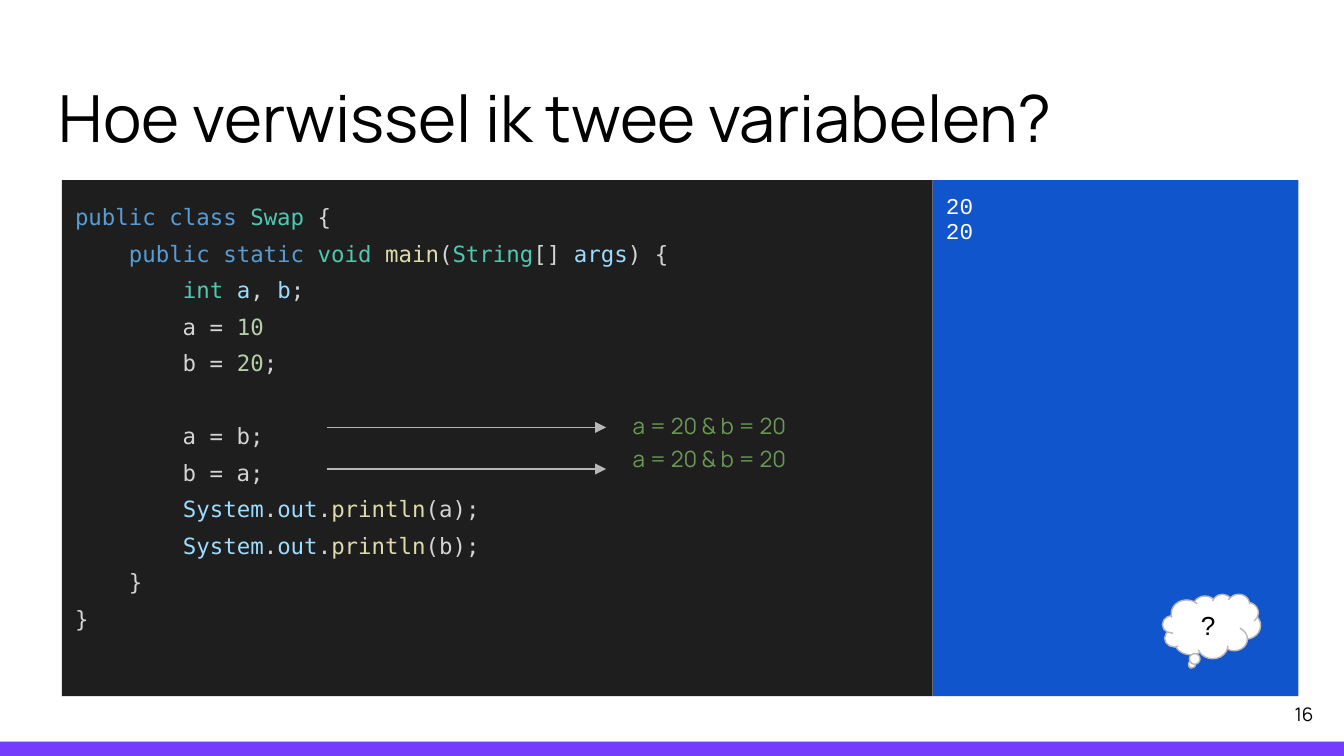
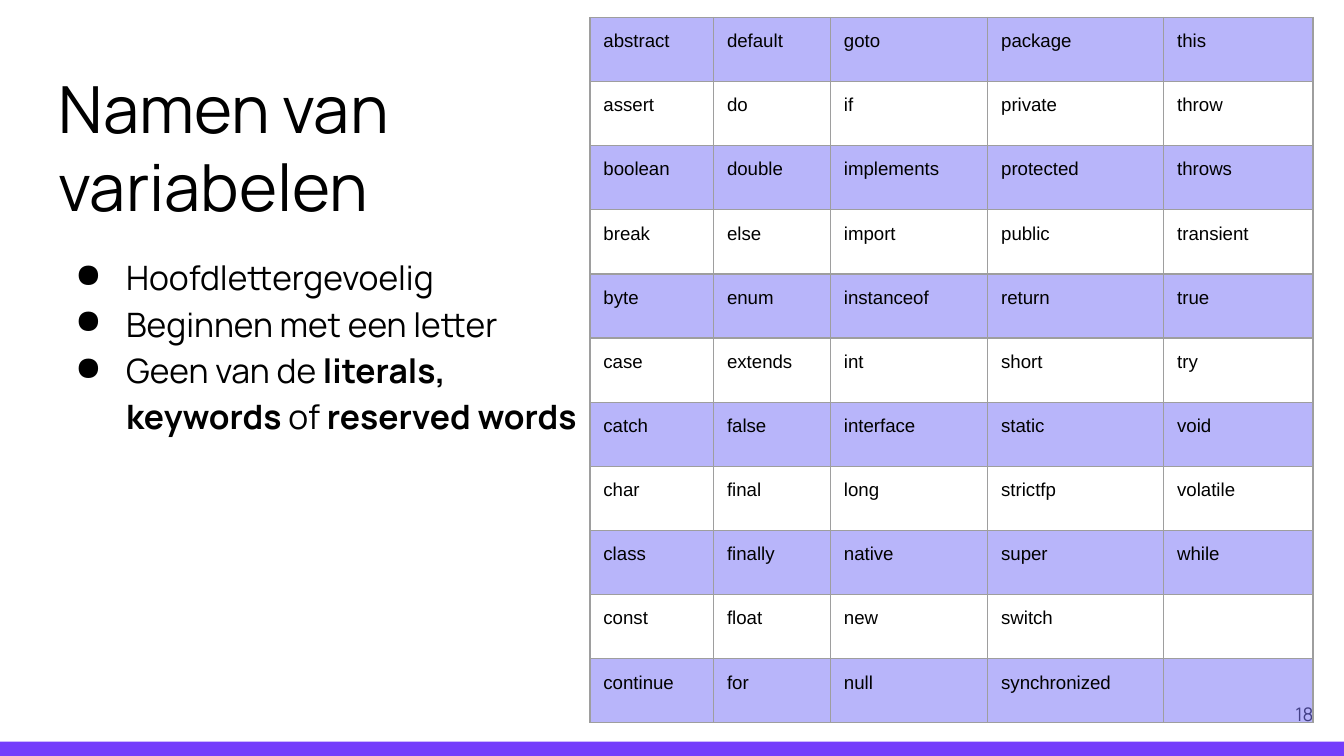
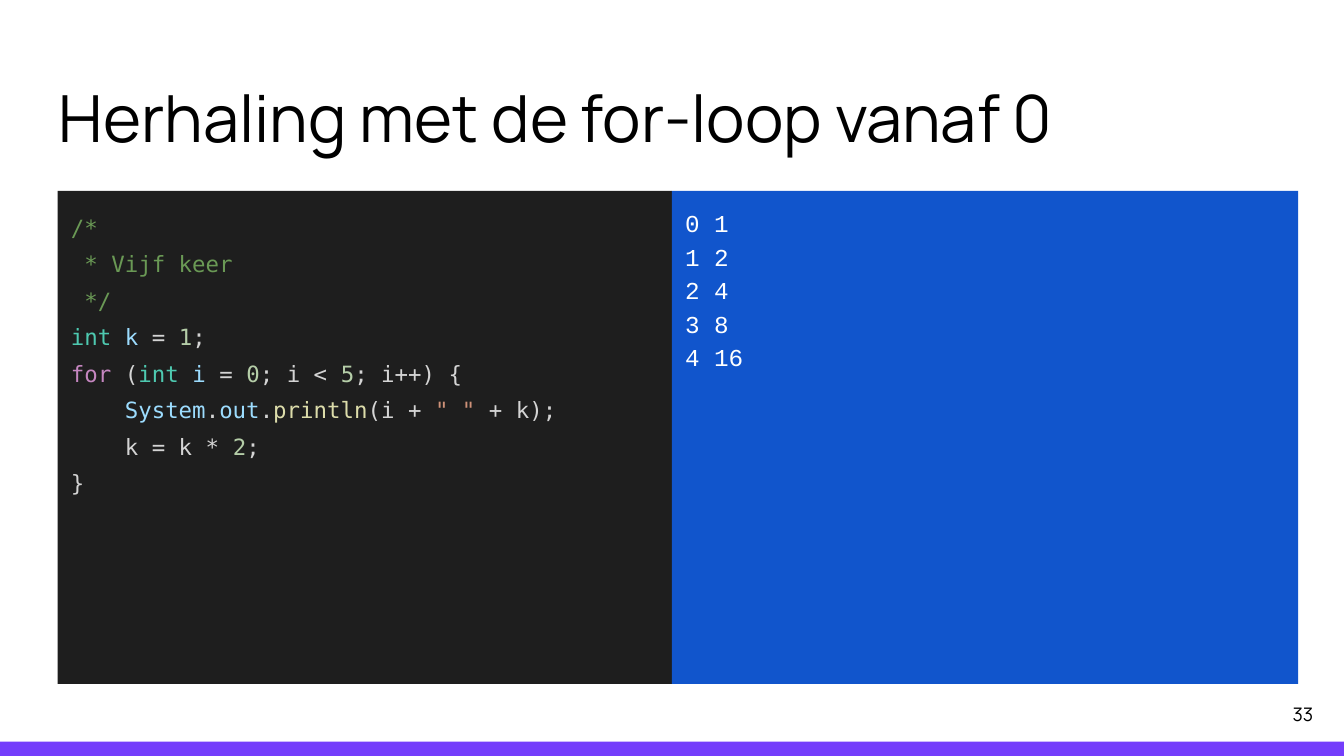
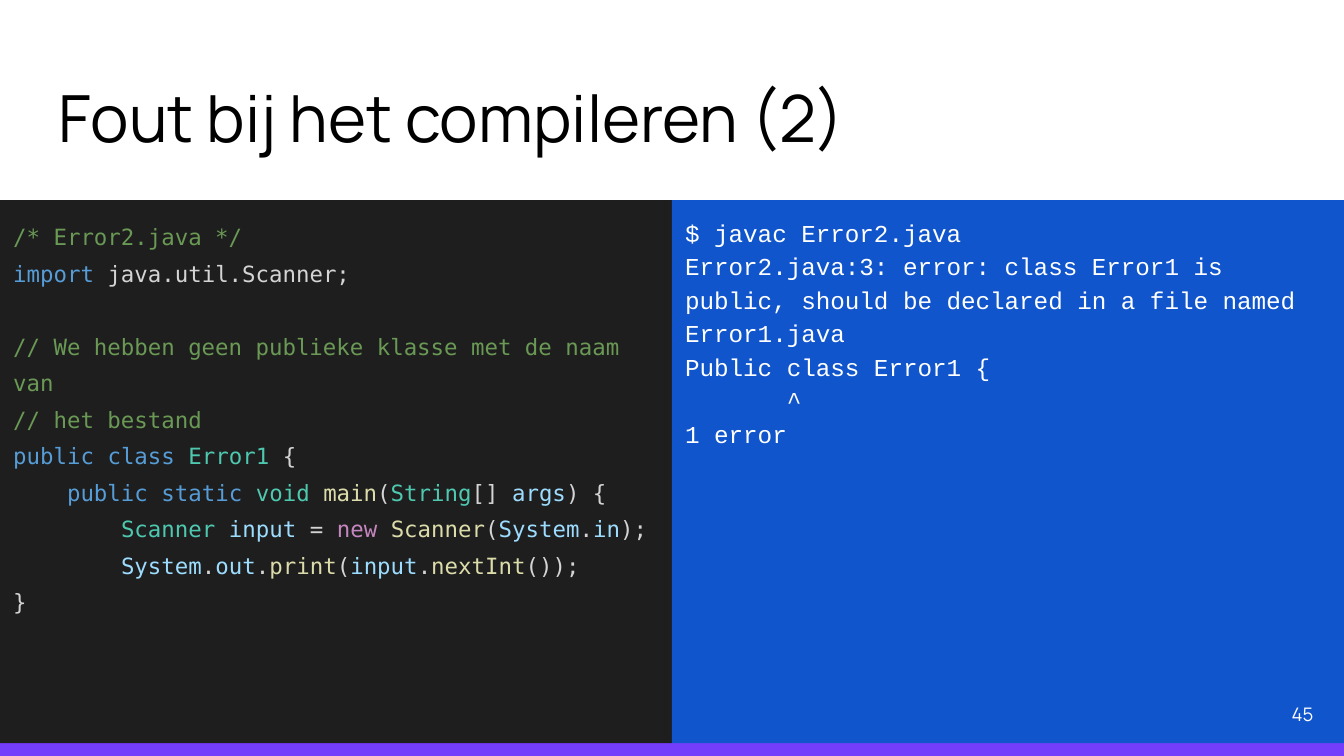
"""Builds four slides of a Java programming lecture."""
from copy import deepcopy

from lxml import etree
from pptx import Presentation
from pptx.dml.color import RGBColor
from pptx.enum.shapes import MSO_CONNECTOR, MSO_SHAPE
from pptx.enum.text import MSO_ANCHOR, PP_ALIGN
from pptx.oxml.ns import qn
from pptx.util import Inches, Pt

RECT, CLOUD = MSO_SHAPE.RECTANGLE, MSO_SHAPE.CLOUD_CALLOUT
LINE = MSO_CONNECTOR.STRAIGHT
TOP, MID, LOW = MSO_ANCHOR.TOP, MSO_ANCHOR.MIDDLE, MSO_ANCHOR.BOTTOM
LEFT, MIDST, RIGHT = PP_ALIGN.LEFT, PP_ALIGN.CENTER, PP_ALIGN.RIGHT

COLS, ROWS = 100, 56.25
UNIT = Inches(0.1)
PAD = UNIT
SANS, MONO, TYPED, PLAIN = "Manrope", "DejaVu Sans Mono", "Courier New", "Arial"

COLOR = {
    "black": "000000", "white": "FFFFFF", "bar": "743DFB", "editor": "1E1E1E",
    "console": "1155CC", "gray": "B7B7B7", "grid": "9E9E9E", "band": "7C77F7",
    "code": "D4D4D4", "key": "569CD6", "kind": "4EC9B0", "call": "DCDCAA",
    "name": "9CDCFE", "digit": "B5CEA8", "note": "6A9955", "flow": "C586C0",
    "quote": "CE9178",
}
TONE = {"k": "key", "t": "kind", "f": "call", "v": "name", "n": "digit",
        "c": "note", "w": "flow", "q": "quote", "b": "black"}

MAIN = "    `kpublic` `kstatic` `tvoid` `fmain`(`tString`[] `vargs`) {"
OUT = "`vSystem`.`vout`."

SWAP = [
    "`kpublic` `kclass` `tSwap` {", MAIN,
    "        `tint` `va`, `vb`;",
    "        a = `n10`",
    "        b = `n20`;",
    "\n        a = b;",
    "        b = a;",
    *[f"        {OUT}`fprintln`({var});" for var in "ab"],
    "    }", "}",
]
LOOP = [
    "`c/*`", "`c * Vijf keer`", "`c */`",
    "`tint` `vk` = `n1`;",
    "`wfor` (`tint` `vi` = `n0`; i < `n5`; i++) {",
    f"    {OUT}`fprintln`(i + `q\" \"` + k);",
    "    k = k * `n2`;", "}",
]
FAULT = [
    "`c/* Error2.java */`",
    "`kimport` java.util.Scanner;",
    "\n`c// We hebben geen publieke klasse met de naam van`",
    "`c// het bestand`",
    "`kpublic` `kclass` `tError1` {", MAIN,
    "        `tScanner` `vinput` = `wnew` `fScanner`(`vSystem`.`vin`);",
    f"        {OUT}`fprint`(`vinput`.`fnextInt`());", "}",
]
REPORT = ("$ javac Error2.java\n"
          "Error2.java:3: error: class Error1 is public, "
          "should be declared in a file named Error1.java\n"
          "Public class Error1 {\n       ^\n1 error")
RULES = ["Hoofdlettergevoelig", "Beginnen met een letter",
         "Geen van de `bliterals, keywords` of `breserved words`"]
WORDS = [
    "abstract assert boolean break byte case catch char class const continue",
    "default do double else enum extends false final finally float for",
    "goto if implements import instanceof int interface long native new null",
    "package private protected public return short static strictfp super switch synchronized",
    "this throw throws transient true try void volatile while",
]
WIDTHS = [9.2, 8.7, 11.7, 13.1, 11.1]


def rgb(name):
    """Gives the named colour."""
    return RGBColor.from_string(COLOR[name])


def size(*parts):
    """Turns grid units into lengths."""
    return [round(part * UNIT) for part in parts]


def write(para, text, face, pts, tone="black"):
    """Writes text in which `xword` takes the tone of letter x."""
    for num, part in enumerate(text.split("`")):
        hue = tone
        if num % 2:
            hue = TONE[part[0]]
        bold = num % 2 and part[0] == "b"
        for row, piece in enumerate(part[num % 2:].split("\n")):
            if row:
                para.add_line_break()
            if not piece:
                continue
            run = para.add_run()
            run.text = piece
            font = run.font
            font.name, font.size, font.bold = face, Pt(pts), bool(bold)
            font.color.rgb = rgb(hue)
    for gap in para._p.findall(qn("a:br")):
        gap.append(deepcopy(para.runs[0]._r.rPr))


def pour(shape, lines, face, pts, tone="black", anchor=TOP, align=LEFT,
         space=None, after=None, bullet=False):
    """Fills a shape with one paragraph for each line."""
    frame = shape.text_frame
    frame.word_wrap, frame.vertical_anchor = True, anchor
    frame.margin_left = frame.margin_right = PAD
    frame.margin_top = frame.margin_bottom = PAD
    for num, line in enumerate(lines):
        para = frame.add_paragraph() if num else frame.paragraphs[0]
        para.alignment = align
        if space:
            para.line_spacing = space
        if after:
            para.space_after = Pt(after)
        if bullet:
            dot(para)
        write(para, line, face, pts, tone)


def dot(para):
    """Gives a paragraph a round bullet and a hanging indent."""
    props = para._p.get_or_add_pPr()
    props.set("marL", str(Inches(0.5)))
    props.set("indent", str(Inches(-0.38)))
    hue = etree.SubElement(props, qn("a:buClr"))
    etree.SubElement(hue, qn("a:srgbClr"), val=COLOR["black"])
    etree.SubElement(props, qn("a:buChar"), char="●")


def block(slide, box, hue, kind=RECT, edge=None):
    """Draws a filled shape."""
    shape = slide.shapes.add_shape(kind, *size(*box))
    shape.shadow.inherit = False
    shape.fill.solid()
    shape.fill.fore_color.rgb = rgb(hue)
    if edge:
        shape.line.color.rgb = rgb(edge)
        shape.line.width = Pt(0.75)
    else:
        shape.line.fill.background()
    return shape


def label(slide, box, lines, *style, **more):
    """Places a text box."""
    pour(slide.shapes.add_textbox(*size(*box)), lines, *style, **more)


def arrow(slide, left, right, top):
    """Draws a level arrow."""
    line = slide.shapes.add_connector(LINE, *size(left, top, right, top))
    line.line.color.rgb = rgb("gray")
    line.line.width = Pt(0.75)
    etree.SubElement(line.line._get_or_add_ln(), qn("a:tailEnd"), type="triangle")
    etree.SubElement(line._element.spPr, qn("a:effectLst"))


def start(deck, title, page, box=(3.4, 3.5, 93.2, 9.1), tone="black"):
    """Adds a slide with bar and title, and returns it with its page number."""
    slide = deck.slides.add_slide(deck.slide_layouts[6])
    block(slide, (0, ROWS - 1.07, COLS, 1.07), "bar")
    label(slide, box, [title], SANS, 34.8, anchor=LOW)
    return slide, (page, tone)


def number(slide, page, tone):
    """Writes the page number at the lower right."""
    label(slide, (92.7, 51, 6, 4.3), [page], SANS, 10, tone,
          anchor=MID, align=RIGHT)


def panels(slide, box, split, code, result, pts=13, space=1.15):
    """Sets code and its result side by side."""
    left, top, wide, high = box
    editor = block(slide, (left, top, split, high), "editor")
    pour(editor, code, MONO, 12, "code", space=1.36)
    screen = block(slide, (left + split, top, wide - split, high), "console")
    pour(screen, [result], TYPED, pts, "white", space=space, after=12)


def steps(slide, box):
    """Explains two code lines and asks a question in a cloud."""
    left, top, wide, high = box
    for row in range(2):
        arrow(slide, left + 19.7, left + 40.5, top + 18.4 + 3.1 * row)
        label(slide, (left + 41.5, top + 16.3 + 2.4 * row, 30.7, 4),
              ["a = 20 & b = 20"], SANS, 12, "note")
    cloud = block(slide, (left + wide - 10.1, top + high - 7.6, 7.3, 4.8),
                  "white", CLOUD, "gray")
    cloud.adjustments[0], cloud.adjustments[1] = -0.21, 0.62
    pour(cloud, ["?"], PLAIN, 14, anchor=MID, align=MIDST)


def border(cell):
    """Draws the four edges of a cell."""
    props = cell._tc.get_or_add_tcPr()
    for num, side in enumerate("LRTB"):
        edge = etree.Element(qn(f"a:ln{side}"), w=str(Pt(0.75)))
        fill = etree.SubElement(edge, qn("a:solidFill"))
        etree.SubElement(fill, qn("a:srgbClr"), val=COLOR["grid"])
        props.insert(num, edge)


def paint(cell, band):
    """Gives a cell a see-through band or no fill."""
    if not band:
        cell.fill.background()
        return
    cell.fill.solid()
    cell.fill.fore_color.rgb = rgb("band")
    hue = cell._tc.tcPr.find(".//" + qn("a:srgbClr"))
    etree.SubElement(hue, qn("a:alpha"), val="54000")


def words(slide, box):
    """Lists the reserved words in a table."""
    lists = [part.split() for part in WORDS]
    count = max(map(len, lists))
    frame = slide.shapes.add_table(count, len(lists), *size(*box))
    table = frame.table
    table.first_row = table.horz_banding = False
    for col, wide in zip(table.columns, WIDTHS):
        col.width = size(wide)[0]
    for row in table.rows:
        row.height = size(box[3] / count)[0]
    for x, names in enumerate(lists):
        for y in range(count):
            cell = table.cell(y, x)
            cell.margin_left = cell.margin_right = PAD
            cell.margin_top = cell.margin_bottom = PAD
            para = cell.text_frame.paragraphs[0]
            if y < len(names):
                write(para, names[y], PLAIN, 10)
            else:
                etree.SubElement(para._p, qn("a:endParaRPr"), sz="1000")
            paint(cell, y % 2 == 0)
            border(cell)


def swap(deck):
    """Builds the slide on swapping two variables."""
    slide, page = start(deck, "Hoe verwissel ik twee variabelen?", "16")
    box = (4.6, 13.4, 92, 38.4)
    panels(slide, box, 64.8, SWAP, "20\n20", 12.1, 0.95)
    steps(slide, box)
    number(slide, *page)


def naming(deck):
    """Builds the slide on names of variables."""
    slide, page = start(deck, "Namen van variabelen", "18", (3.4, 3.5, 50.2, 14.2))
    label(slide, (3.4, 17.7, 40.8, 32.4), RULES, SANS, 18, space=1.15, bullet=True)
    number(slide, *page)
    words(slide, (43.9, 1.3, sum(WIDTHS), 52.5))


def loop(deck):
    """Builds the slide on the for-loop."""
    slide, page = start(deck, "Herhaling met de for-loop vanaf 0", "33")
    result = "\n".join(f"{num} {2 ** num}" for num in range(5))
    panels(slide, (4.3, 14.2, 92.3, 36.7), 45.7, LOOP, result)
    number(slide, *page)


def fault(deck):
    """Builds the slide on a compile error."""
    slide, page = start(deck, "Fout bij het compileren (2)", "45", tone="white")
    panels(slide, (0, 14.9, COLS, 40.4), COLS / 2, FAULT, REPORT)
    number(slide, *page)


def main():
    """Builds and saves the slides."""
    deck = Presentation()
    deck.slide_width, deck.slide_height = size(COLS, ROWS)
    for build in (swap, naming, loop, fault):
        build(deck)
    deck.save("out.pptx")


if __name__ == "__main__":
    main()
